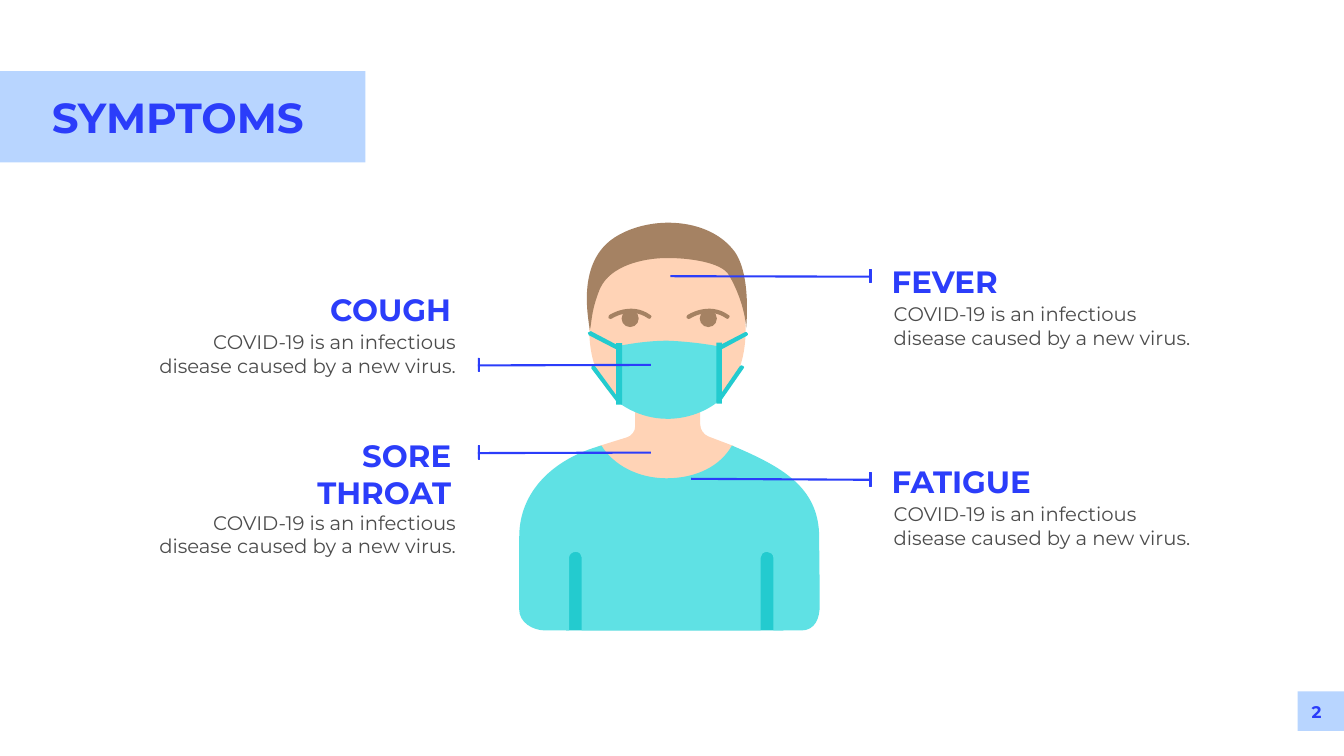
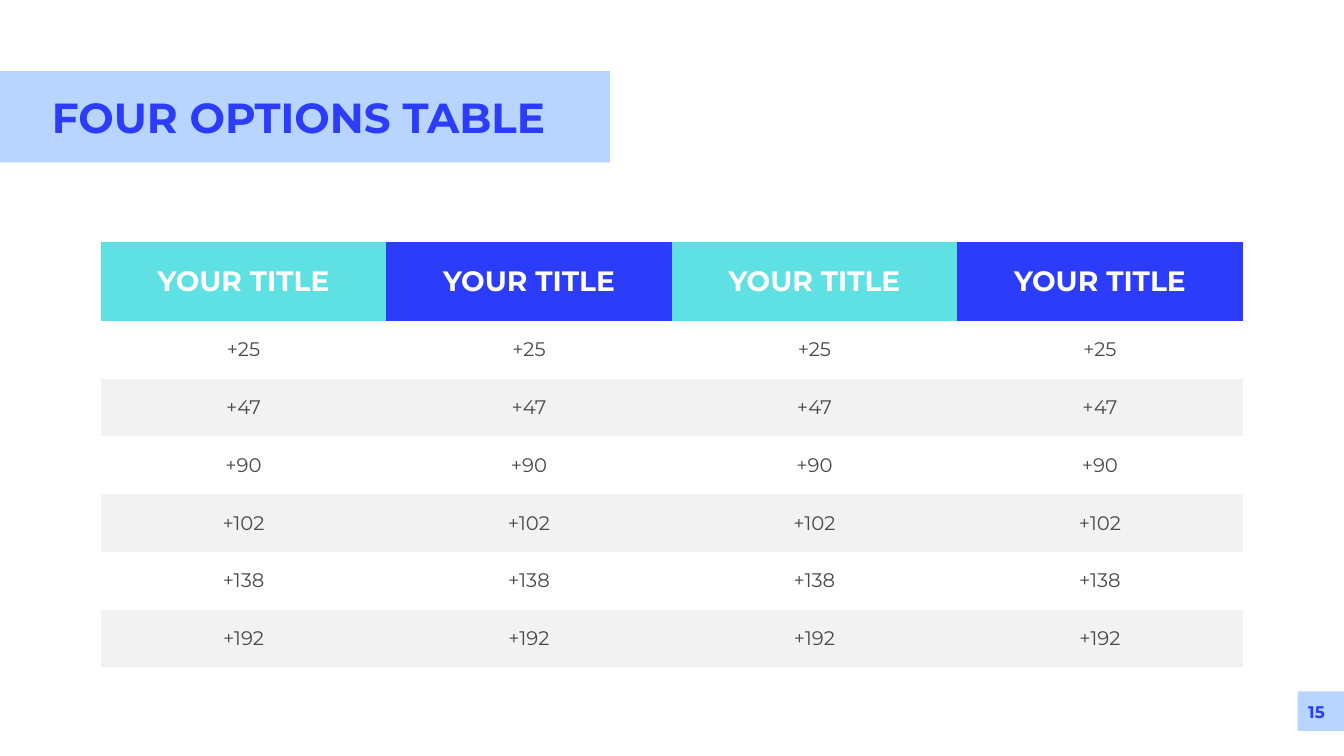
from lxml.etree import SubElement
from pptx import Presentation
from pptx.dml.color import RGBColor
from pptx.enum.shapes import MSO_CONNECTOR as CONNECTOR, MSO_SHAPE as SHAPE
from pptx.enum.text import MSO_ANCHOR as ANCHOR, MSO_AUTO_SIZE as AUTO, PP_ALIGN as ALIGN
from pptx.oxml.ns import qn
from pptx.util import Pt

PX = 9144  # EMU per px, 100 px to the inch
FONT = "Montserrat"
BLUE, PALE_BLUE, WHITE, GREY = "2B3DFA", "B8D5FF", "FFFFFF", "F2F2F2"
AQUA, TEAL, SKIN, HAIR = "5FE1E4", "23CBCF", "FFD3B6", "A58263"
BODY_TEXT, CELL_TEXT = "4C4C4C", "494949"
PLAIN_TABLE = "{2D5ABB26-0587-4C30-8999-92F81FD0307C}"

# Outlines: a pair is a corner, six numbers are a Bézier curve (two handles, end).
SLEEVES = [(1123, 1074), (1564, 1074), (1554, 1251), (1123, 1251)]
HEAD_AND_NECK = [
    (1389, 842), (1389, 816), (1450, 790, 1479, 728, 1479, 655),
    (1479, 559, 1418, 481, 1325, 481), (1232, 481, 1169, 559, 1169, 655),
    (1169, 728, 1199, 790, 1260, 816), (1260, 846),
    (1260, 856, 1253, 865, 1243, 868), (1185, 886), (1241, 976), (1260, 980),
    (1260, 1000), (1260, 1037, 1289, 1067, 1325, 1067),
    (1360, 1067, 1389, 1037, 1389, 1000), (1389, 979), (1400, 977),
    (1454, 968, 1466, 911, 1466, 911), (1455, 885), (1405, 866),
    (1396, 862, 1389, 853, 1389, 842)]
SHIRT = [
    (1625, 1077), (1625, 1066), (1625, 965, 1548, 925, 1452, 884),
    (1429, 925, 1381, 949, 1322, 949), (1266, 949, 1217, 923, 1193, 884),
    (1098, 910, 1030, 975, 1030, 1065), (1030, 1210),
    (1030, 1233, 1054, 1251, 1083, 1251), (1129, 1251), (1129, 1106),
    (1129, 1100, 1135, 1095, 1142, 1095), (1149, 1095, 1154, 1100, 1154, 1106),
    (1154, 1251), (1509, 1251), (1509, 1106),
    (1509, 1100, 1514, 1095, 1522, 1095), (1528, 1095, 1534, 1100, 1534, 1106),
    (1534, 1251), (1589, 1251), (1618, 1251, 1626, 1225, 1626, 1202),
    (1626, 1176)]
HAIRCUT = [
    (1480, 651), (1480, 651, 1479, 603, 1446, 546),
    (1432, 520, 1363, 511, 1318, 512), (1277, 513, 1211, 526, 1190, 573),
    (1172, 617, 1174, 641, 1170, 655), (1166, 626, 1144, 518, 1221, 470),
    (1290, 427, 1402, 432, 1453, 494), (1492, 538, 1480, 651, 1480, 651)]
MASK = [
    (1424, 797), (1424, 797, 1386, 831, 1324, 831),
    (1264, 831, 1225, 797, 1225, 797), (1225, 687),
    (1225, 687, 1274, 676, 1324, 676), (1379, 678, 1424, 687, 1424, 687)]
BROW = [
    (1211, 633), (1210, 633, 1209, 632, 1207, 631),
    (1207, 628, 1207, 626, 1209, 625), (1209, 625, 1251, 597, 1290, 625),
    (1292, 626, 1294, 628, 1291, 631), (1290, 633, 1287, 633, 1286, 632),
    (1251, 607, 1214, 632, 1214, 632)]
STRAPS = [
    [(1226, 799), (1223, 797), (1173, 731), (1172, 729, 1172, 727, 1174, 725),
     (1176, 724, 1178, 724, 1180, 726), (1229, 793),
     (1230, 794, 1230, 797, 1228, 798)],
    [(1229, 695), (1226, 695), (1168, 665), (1166, 664, 1166, 662, 1166, 660),
     (1168, 657, 1170, 657, 1172, 657), (1231, 688),
     (1233, 689, 1233, 691, 1232, 693)],
    [(1426, 799), (1429, 797), (1475, 731), (1477, 729, 1477, 727, 1474, 726),
     (1472, 724, 1470, 725, 1468, 726), (1422, 793),
     (1421, 794, 1422, 797, 1423, 799)],
    [(1424, 696), (1426, 696), (1482, 666), (1484, 665, 1484, 663, 1483, 661),
     (1482, 659, 1480, 658, 1478, 659), (1424, 687),
     (1422, 689, 1422, 691, 1423, 693)]]
EYE_GAP = 155

DESCRIPTION = "COVID-19 is an infectious disease caused by a new virus."
# Heading, heading box (left, top, width), description top, pointer start, pointer end.
SYMPTOMS = [
    ("FEVER", (1759, 516, 232), 595, (1330, 548), (1726, 549)),
    ("FATIGUE", (1759, 913, 300), 991, (1371, 950), (1726, 952)),
    ("COUGH", (641, 571, 264), 650, (1291, 724), (948, 725)),
    ("SORE\nTHROAT", (617, 862, 288), 1008, (1291, 898), (948, 899))]

COLUMN_COUNT = 4
TABLE_WIDTH, TABLE_HEIGHT, HEADER_HEIGHT = 2265, 843, 156
OPTION_VALUES = ["+25", "+47", "+90", "+102", "+138", "+192"]


def color(code):
    return RGBColor.from_string(code)


def bend(shape, outline):
    """Join each three straight steps that stand for a curve into one."""
    steps = shape.element.iter(qn("a:lnTo"))
    steps = iter(list(steps))
    for part in outline[1:]:
        first = next(steps)
        if len(part) == 6:
            first.tag = qn("a:cubicBezTo")
            for _ in range(2):
                extra = next(steps)
                first.append(extra[0])
                extra.getparent().remove(extra)


class Deck:
    """Holds the shared style and the slide being drawn."""

    def __init__(self):
        self.deck = Presentation()
        self.deck.slide_width, self.deck.slide_height = 2666 * PX, 1500 * PX
        self.page = None

    def new_page(self, title, band_width, title_width, number):
        self.page = self.deck.slides.add_slide(self.deck.slide_layouts[6])
        self.shape(SHAPE.RECTANGLE, 2574, 1372, 92, 78, PALE_BLUE)
        self.text(number, 2558, 1387, 107, 51, 24, BLUE, True, ALIGN.CENTER, False)
        self.shape(SHAPE.RECTANGLE, 0, 141, band_width, 181, PALE_BLUE)
        self.text(title, 93, 176, title_width, 111, 60, BLUE, True, wrap=False)

    def paint(self, shape, fill, line=None):
        shape.shadow.inherit = False
        shape.fill.solid()
        shape.fill.fore_color.rgb = color(fill)
        if line:
            shape.line.color.rgb = color(line)
            shape.line.width = Pt(0.75)
        else:
            shape.line.fill.background()

    def shape(self, kind, left, top, width, height, fill, line=None):
        shape = self.page.shapes.add_shape(
            kind, left * PX, top * PX, width * PX, height * PX)
        self.paint(shape, fill, line)

    def outline(self, outline, fill, shift=0):
        points = [((x + shift) * PX, y * PX) for part in outline
                  for x, y in zip(part[::2], part[1::2])]
        builder = self.page.shapes.build_freeform(*points[0])
        builder.add_line_segments(points[1:], close=True)
        shape = builder.convert_to_shape()
        bend(shape, outline)
        self.paint(shape, fill)

    def style(self, para, size, ink, bold, align):
        para.alignment = align
        for span in para.runs:
            span.font.name, span.font.size, span.font.bold = FONT, Pt(size), bold
            span.font.color.rgb = color(ink)

    def text(self, words, left, top, width, height, size, ink, bold=False,
             align=ALIGN.LEFT, wrap=True):
        box = self.page.shapes.add_textbox(left * PX, top * PX, width * PX, height * PX)
        frame = box.text_frame
        frame.text = words
        frame.word_wrap = wrap
        frame.auto_size = AUTO.SHAPE_TO_FIT_TEXT
        for para in frame.paragraphs:
            self.style(para, size, ink, bold, align)

    def pointer(self, start, end):
        """Draw a line that ends in a short upright tick."""
        line = self.page.shapes.add_connector(
            CONNECTOR.STRAIGHT, *(value * PX for value in start + end))
        line.line.color.rgb = color(BLUE)
        line.line.width = Pt(3)
        SubElement(line.element.spPr, qn("a:effectLst"))
        x, y = end
        left, width = (x - 2, 4) if x > start[0] else (x, 3)
        self.shape(SHAPE.RECTANGLE, left, y - 15, width, 27, BLUE, BLUE)

    def cell(self, cell, words, fill, size, ink, bold):
        cell.fill.solid()
        cell.fill.fore_color.rgb = color(fill)
        cell.vertical_anchor = ANCHOR.MIDDLE
        cell.text_frame.text = words
        self.style(cell.text_frame.paragraphs[0], size, ink, bold, ALIGN.CENTER)

    def table(self, left, top, header, values):
        frame = self.page.shapes.add_table(
            len(values) + 1, COLUMN_COUNT, left * PX, top * PX,
            TABLE_WIDTH * PX, TABLE_HEIGHT * PX)
        frame.element.find(".//" + qn("a:tableStyleId")).text = PLAIN_TABLE
        table = frame.table
        table.first_row = table.horz_banding = False
        row_height = (TABLE_HEIGHT - HEADER_HEIGHT) * PX // len(values)
        for index, row in enumerate(table.rows):
            row.height = row_height if index else HEADER_HEIGHT * PX
        for index, column in enumerate(table.columns):
            column.width = TABLE_WIDTH * PX // COLUMN_COUNT
            self.cell(table.cell(0, index), header, (AQUA, BLUE)[index % 2],
                      40, WHITE, True)
            for number, value in enumerate(values):
                self.cell(table.cell(number + 1, index), value,
                          (WHITE, GREY)[number % 2], 28, CELL_TEXT, False)


def draw_patient(deck):
    for outline, fill in [(SLEEVES, TEAL), (HEAD_AND_NECK, SKIN), (SHIRT, AQUA),
                          (HAIRCUT, HAIR), (MASK, AQUA)]:
        deck.outline(outline, fill)
    for left, top, width, height in [(1222, 681, 12, 122), (1421, 680, 11, 121)]:
        deck.shape(SHAPE.RECTANGLE, left, top, width, height, TEAL)
    for shift in (0, EYE_GAP):
        deck.outline(BROW, HAIR, shift)
        deck.shape(SHAPE.OVAL, 1233 + shift, 615, 34, 34, HAIR)
    for strap in STRAPS:
        deck.outline(strap, TEAL)


def draw_symptom(deck, heading, heading_box, description_top, start, end):
    on_right = end[0] > start[0]
    align = ALIGN.LEFT if on_right else ALIGN.RIGHT
    left, width = (1763, 640) if on_right else (295, 619)
    deck.pointer(start, end)
    heading_left, top, heading_width = heading_box
    height = 84 + 74 * heading.count("\n")
    deck.text(heading, heading_left, top, heading_width, height, 44, BLUE, True,
              align, False)
    deck.text(DESCRIPTION, left, description_top, width, 104, 28, BODY_TEXT, align=align)


def main():
    deck = Deck()
    deck.new_page("SYMPTOMS", 725, 540, "2")
    draw_patient(deck)
    for symptom in SYMPTOMS:
        draw_symptom(deck, *symptom)

    deck.new_page("FOUR OPTIONS TABLE", 1210, 1034, "15")
    deck.table(200, 481, "YOUR TITLE", OPTION_VALUES)
    deck.deck.save("out.pptx")


if __name__ == "__main__":
    main()
